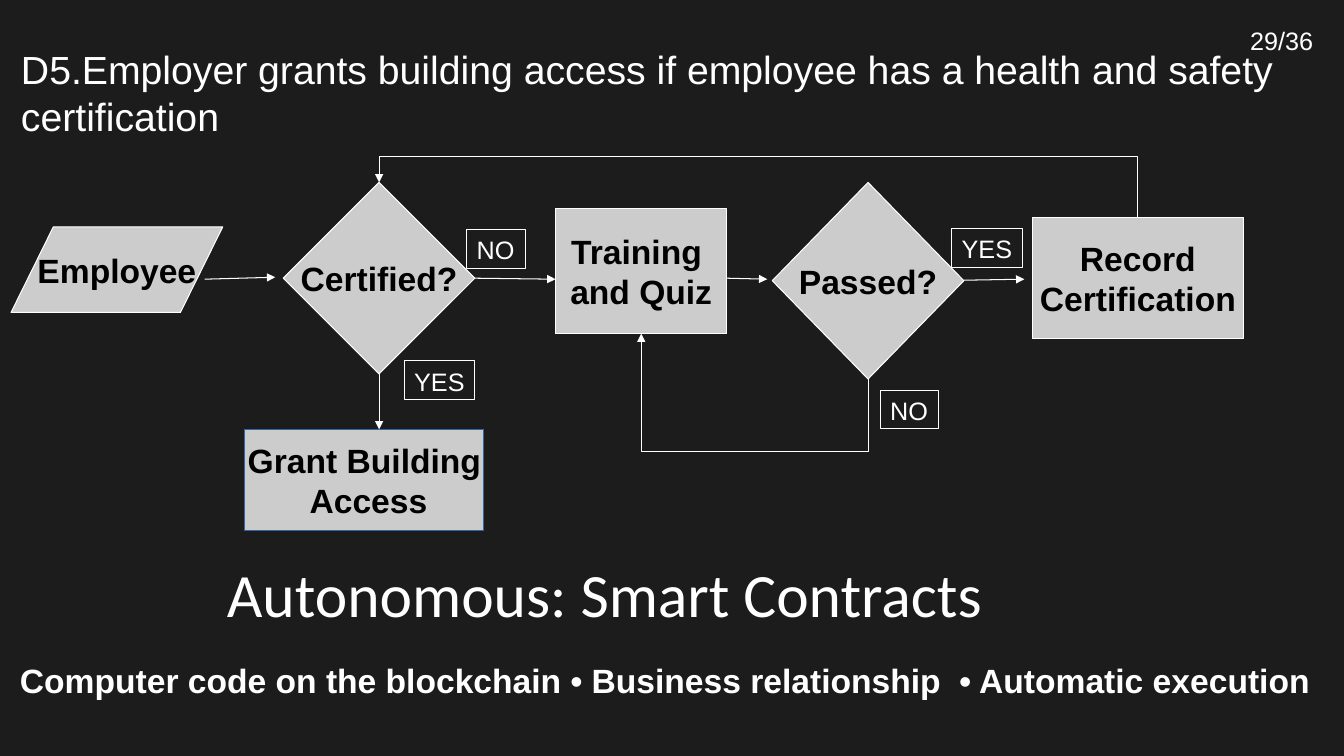
"""Flowchart slide: building access granted through a smart contract."""
from lxml import etree
from pptx import Presentation, util as u
from pptx.dml.color import RGBColor
from pptx.enum import shapes, text
from pptx.oxml import ns

PX = 9144
BACKGROUND = RGBColor(0x1C, 0x1C, 0x1C)
WHITE = RGBColor(0xFF, 0xFF, 0xFF)
BLACK = RGBColor(0x00, 0x00, 0x00)
GREY = RGBColor(0xCC, 0xCC, 0xCC)
BLUE = RGBColor(0x34, 0x65, 0xA4)
LEFT, CENTER = text.PP_ALIGN.LEFT, text.PP_ALIGN.CENTER
TOP, MIDDLE = text.MSO_ANCHOR.TOP, text.MSO_ANCHOR.MIDDLE
STEP = shapes.MSO_SHAPE.FLOWCHART_PROCESS
DECISION = shapes.MSO_SHAPE.FLOWCHART_DECISION
INPUT = shapes.MSO_SHAPE.FLOWCHART_DATA

deck = Presentation()
deck.slide_width, deck.slide_height = 1333 * PX, 750 * PX
slide = deck.slides.add_slide(deck.slide_layouts[6])
slide.background.fill.solid()
slide.background.fill.fore_color.rgb = BACKGROUND


def write(holder, wording, size, color=WHITE, bold=False, font="Arial",
          align=LEFT, anchor=TOP, wrap=True):
    frame = holder.text_frame
    frame.word_wrap = wrap
    frame.vertical_anchor = anchor
    frame.text = wording
    for paragraph in frame.paragraphs:
        paragraph.alignment = align
        paragraph.font.name = font
        paragraph.font.size = u.Pt(size)
        paragraph.font.bold = bold
        paragraph.font.color.rgb = color
    return frame


def draw_arrow(kind, *ends):
    arrow = slide.shapes.add_connector(kind, *[round(end * PX) for end in ends])
    arrow.line.color.rgb = WHITE
    arrow.line.width = u.Pt(0.75)
    etree.SubElement(arrow.line._get_or_add_ln(), ns.qn("a:tailEnd"), type="triangle")
    etree.SubElement(arrow._element.spPr, ns.qn("a:effectLst"))
    return arrow._element.spPr


headline = slide.shapes.add_textbox(80 * PX, 540 * PX, 1040 * PX, 105 * PX)
headline_frame = write(headline, "Autonomous: Smart Contracts", 44,
                       font="Calibri", align=CENTER, anchor=MIDDLE)
headline_frame.paragraphs[0].line_spacing = 0.9

for wording, size, bold, *place in [
    ("Computer code on the blockchain • Business relationship  • Automatic execution",
     24, True, 10, 650, 1330, 60),
    ("D5.Employer grants building access if employee has a health and safety certification",
     28, False, 11, 40, 1299, 97),
    ("29/36", 18, False, 1230, 20, 93, 55),
]:
    caption = slide.shapes.add_textbox(*[length * PX for length in place])
    write(caption, wording, size, bold=bold)

for wording, kind, outline, *place in [
    ("Certified?", DECISION, WHITE, 281, 181, 190, 190),
    ("Passed?", DECISION, WHITE, 766, 181, 190, 195),
    ("Employee", INPUT, WHITE, 11, 225, 210, 85),
    ("Training \nand Quiz", STEP, WHITE, 551, 207, 170, 124),
    ("Record\nCertification", STEP, WHITE, 1024, 216, 209, 120),
    ("Grant Building\n Access", STEP, BLUE, 243, 426, 237, 100),
]:
    node = slide.shapes.add_shape(kind, *[length * PX for length in place])
    node.shadow.inherit = False
    node.fill.solid()
    node.fill.fore_color.rgb = GREY
    node.line.color.rgb = outline
    node.line.width = u.Pt(0.75)
    write(node, wording, 24, BLACK, True, align=CENTER, anchor=MIDDLE, wrap=False)

for ends in [
    (203, 277, 273, 275),
    (471, 276, 551, 277),
    (721, 276, 761, 277),
    (956, 278, 1016, 277),
    (376, 370, 376, 426),
]:
    draw_arrow(shapes.MSO_CONNECTOR.STRAIGHT, *ends)

for start_x, start_y, end_x, end_y, detour_y, turn in [
    (1128, 216, 376, 181, 155, 270),
    (861, 376, 636, 331, 448, 90),
]:
    middle_x, middle_y = (start_x + end_x) / 2, (start_y + end_y) / 2
    side = 1 if turn == 270 else -1
    reach_x = side * (start_y - end_y) / 2
    reach_y = side * (start_x - end_x) / 2
    loop = draw_arrow(shapes.MSO_CONNECTOR.ELBOW, middle_x - reach_x, middle_y + reach_y,
                      middle_x + reach_x, middle_y - reach_y)
    loop.find(ns.qn("a:xfrm")).set("rot", str(turn * 60000))
    bend = round(100000 * (detour_y - start_y) / (end_y - start_y))
    guides = loop.find(ns.qn("a:prstGeom")).find(ns.qn("a:avLst"))
    etree.SubElement(guides, ns.qn("a:gd"), name="adj1", fmla=f"val {bend}")

for answer, left, top, width in [
    ("YES", 944, 227, 70),
    ("YES", 401, 358, 70),
    ("NO", 873, 387, 58),
    ("NO", 463, 228, 58),
]:
    tag = slide.shapes.add_shape(shapes.MSO_SHAPE.RECTANGLE,
                                 left * PX, top * PX, width * PX, 38 * PX)
    tag.shadow.inherit = False
    tag.fill.background()
    tag.line.color.rgb = WHITE
    tag.line.width = u.Pt(0.75)
    write(tag, answer, 18, wrap=False)

deck.save("out.pptx")
